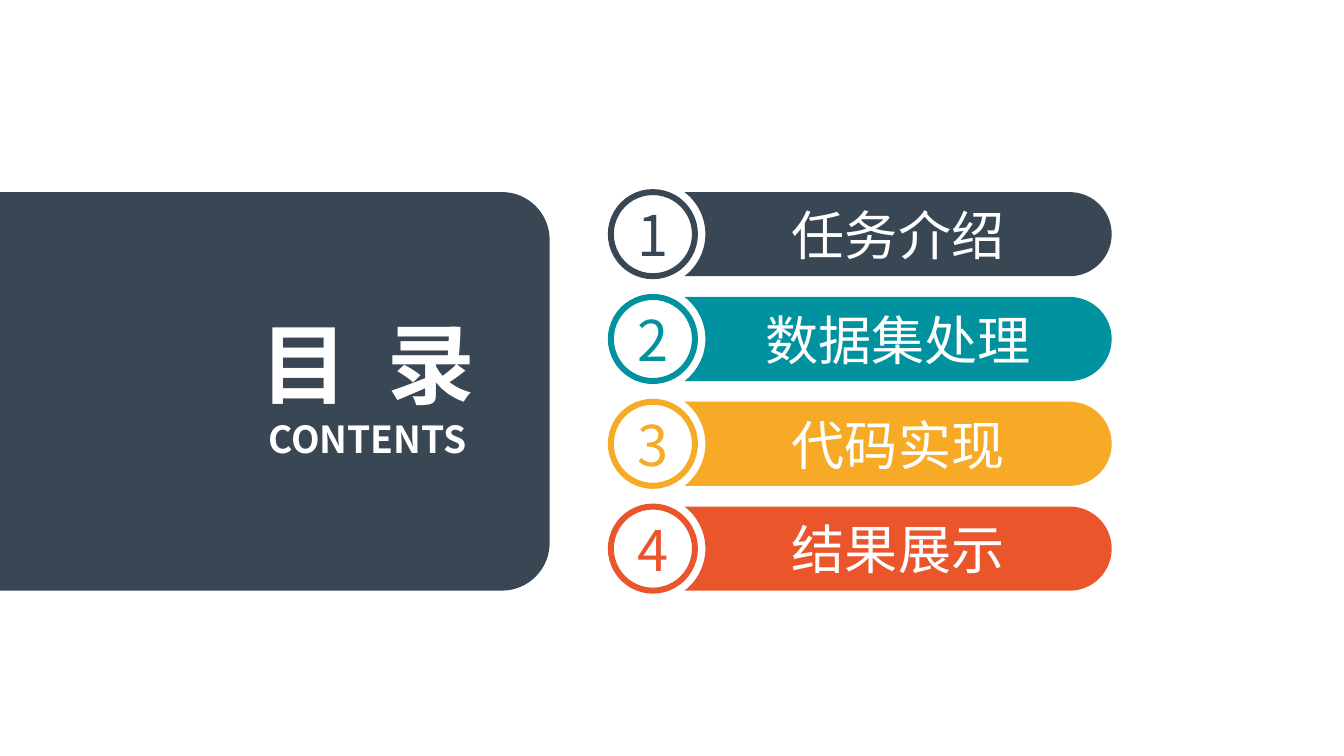
from math import cos, radians, sin, tan

from lxml.etree import SubElement
from pptx import Presentation
from pptx.dml.color import RGBColor
from pptx.enum.shapes import MSO_SHAPE as Shape
from pptx.enum.text import MSO_ANCHOR as Anchor, PP_ALIGN as Align
from pptx.oxml.ns import qn
from pptx.util import Inches, Pt

FONT = "Noto Sans CJK SC"
WHITE = RGBColor(0xFF, 0xFF, 0xFF)
SLATE = RGBColor(0x39, 0x47, 0x54)
TEAL = RGBColor(0x00, 0x93, 0x9F)
AMBER = RGBColor(0xF6, 0xAA, 0x26)
ORANGE = RGBColor(0xEA, 0x55, 0x2B)

HEADING = "目 录"
SUBHEADING = "CONTENTS"
SECTIONS = [
    ("任务介绍", SLATE),
    ("数据集处理", TEAL),
    ("代码实现", AMBER),
    ("结果展示", ORANGE),
]

TOP, BOTTOM = 2.01, 6.18
PANEL_RIGHT, PANEL_RADIUS = 5.75, 0.5
BAR_LEFT, BAR_RIGHT, BAR_HEIGHT = 7.16, 11.63, 0.88
BADGE_LEFT = 6.39
NOTCH_RADIUS, NOTCH_ANGLE = 0.55, 53
PITCH = (BOTTOM - TOP - BAR_HEIGHT) / (len(SECTIONS) - 1)


def arc(center_x, center_y, radius, start, end):
    first, last = radians(start), radians(end)
    reach = 4 / 3 * tan((last - first) / 4)
    spots = [
        (cos(first) - reach * sin(first), sin(first) + reach * cos(first)),
        (cos(last) + reach * sin(last), sin(last) - reach * cos(last)),
        (cos(last), sin(last)),
    ]
    return [(center_x + radius * x, center_y + radius * y) for x, y in spots]


def add_outline(page, start, segments, color):
    corners = [(Inches(x), Inches(y)) for segment in segments for x, y in segment]
    builder = page.shapes.build_freeform(Inches(start[0]), Inches(start[1]))
    builder.add_line_segments(corners, close=True)
    outline = builder.convert_to_shape()
    lines = iter(list(outline._element.iter(qn("a:lnTo"))))
    for segment in segments:
        steps = [next(lines) for _ in segment]
        if len(steps) == 3:
            curve = SubElement(steps[0].getparent(), qn("a:cubicBezTo"))
            steps[0].addprevious(curve)
            for step in steps:
                curve.append(step[0])
                step.getparent().remove(step)
    outline.shadow.inherit = False
    outline.fill.solid()
    outline.fill.fore_color.rgb = color
    outline.line.fill.background()
    return outline


def write(box, pieces, size, color, bold=False, anchor=Anchor.MIDDLE):
    frame = box.text_frame
    frame.margin_left = frame.margin_right = frame.margin_top = frame.margin_bottom = 0
    frame.word_wrap = True
    frame.vertical_anchor = anchor
    para = frame.paragraphs[0]
    para.alignment = Align.CENTER
    for piece in pieces:
        span = para.add_run()
        span.text = piece
        span.font.name = FONT
        span.font.size = Pt(size)
        span.font.bold = bold
        span.font.color.rgb = color
        SubElement(span.font._element, qn("a:ea"), typeface=FONT)
    return para


def add_panel(page):
    center_x = PANEL_RIGHT - PANEL_RADIUS
    upper, lower = TOP + PANEL_RADIUS, BOTTOM - PANEL_RADIUS
    segments = [
        [(center_x, TOP)],
        arc(center_x, upper, PANEL_RADIUS, -90, 0),
        [(PANEL_RIGHT, lower)],
        arc(center_x, lower, PANEL_RADIUS, 0, 90),
        [(0, BOTTOM)],
    ]
    add_outline(page, (0, TOP), segments, SLATE)


def add_section(page, number, title, color):
    top = TOP + (number - 1) * PITCH
    radius = BAR_HEIGHT / 2
    middle = top + radius
    center_x = BAR_RIGHT - radius
    notch_x = BADGE_LEFT + radius
    segments = [
        [(center_x, top)],
        arc(center_x, middle, radius, -90, 0),
        arc(center_x, middle, radius, 0, 90),
        [(BAR_LEFT, top + BAR_HEIGHT)],
        arc(notch_x, middle, NOTCH_RADIUS, NOTCH_ANGLE, 0),
        arc(notch_x, middle, NOTCH_RADIUS, 0, -NOTCH_ANGLE),
    ]
    bar = add_outline(page, (BAR_LEFT, top), segments, color)
    write(bar, [title], 40, WHITE)

    badge = page.shapes.add_shape(
        Shape.OVAL, Inches(BADGE_LEFT), Inches(top), Inches(BAR_HEIGHT), Inches(BAR_HEIGHT))
    badge.shadow.inherit = False
    badge.fill.solid()
    badge.fill.fore_color.rgb = WHITE
    badge.line.color.rgb = color
    badge.line.width = Pt(4.5)
    write(badge, [str(number)], 42.2, color)


def add_headings(page):
    heading = page.shapes.add_textbox(Inches(2.28), Inches(3.24), Inches(3.14), Inches(1.11))
    para = write(heading, HEADING, 66, WHITE, True)
    para.runs[1].font._element.set("spc", "1500")

    subheading = page.shapes.add_textbox(Inches(2.29), Inches(4.36), Inches(3.11), Inches(0.47))
    write(subheading, [SUBHEADING], 28, WHITE, True, Anchor.TOP)


def main():
    deck = Presentation()
    deck.slide_width, deck.slide_height = Inches(14.06), Inches(7.91)
    page = deck.slides.add_slide(deck.slide_layouts[6])
    add_panel(page)
    for number, (title, color) in enumerate(SECTIONS, 1):
        add_section(page, number, title, color)
    add_headings(page)
    deck.save("out.pptx")


if __name__ == "__main__":
    main()
